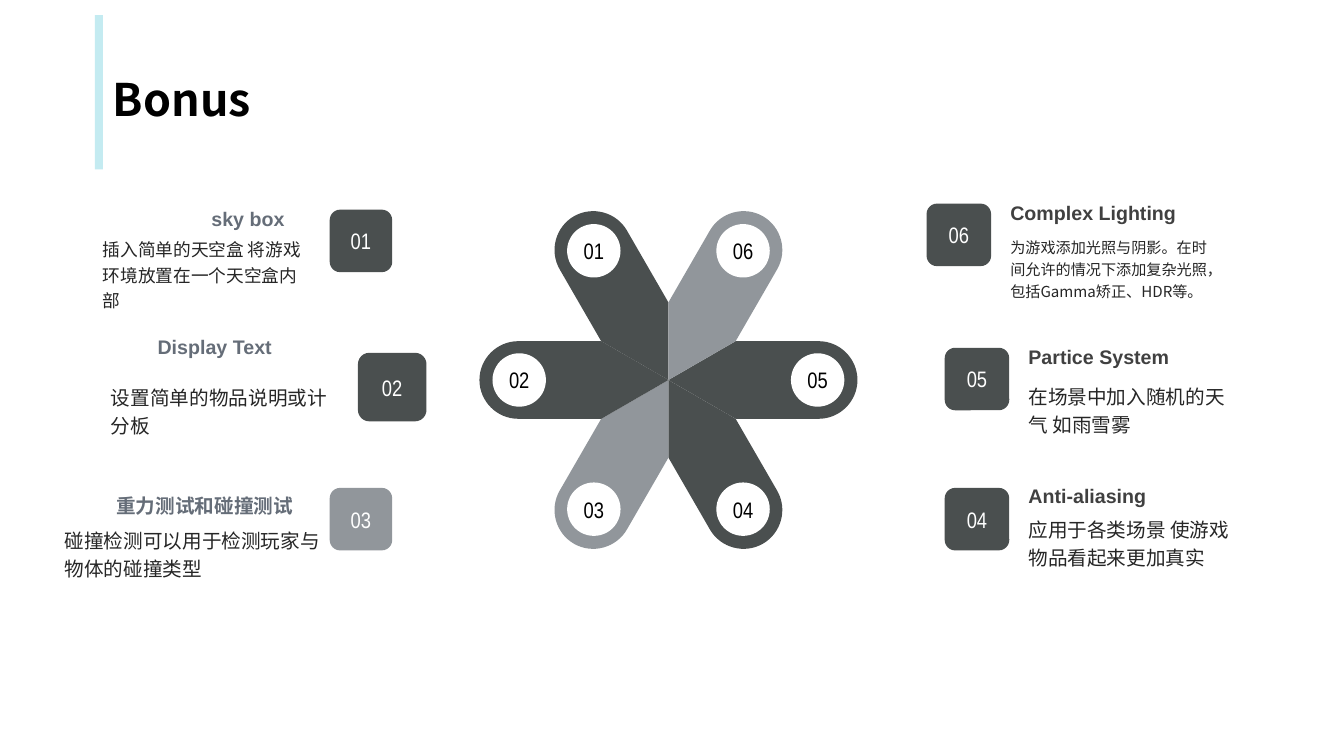
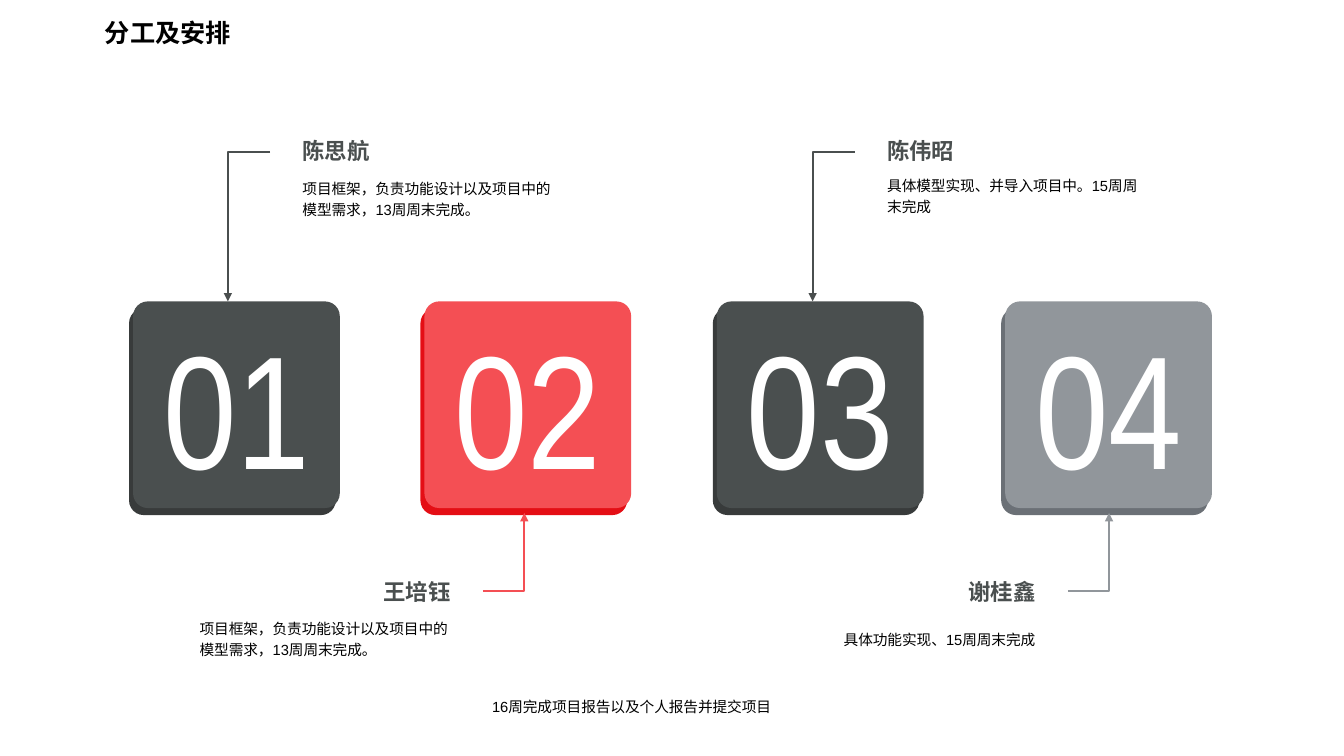
import math
from dataclasses import dataclass

import lxml.etree
import pptx
import pptx.dml.color
import pptx.enum.shapes
import pptx.enum.text
import pptx.oxml.ns
import pptx.util

Inches = pptx.util.Inches
Pt = pptx.util.Pt
Shape = pptx.enum.shapes.MSO_SHAPE
Align = pptx.enum.text.PP_ALIGN
Anchor = pptx.enum.text.MSO_ANCHOR
qn = pptx.oxml.ns.qn


@dataclass(frozen=True)
class Theme:
    slate: str = "4A4F4F"
    slate_edge: str = "383B3B"
    gray: str = "91969B"
    gray_edge: str = "6B7076"
    red: str = "F44F54"
    red_edge: str = "E40E15"
    accent: str = "C4EBF1"
    white: str = "FFFFFF"
    black: str = "000000"
    body: str = "262626"
    left_heading: str = "656D78"
    right_heading: str = "404040"
    sans: str = "Arial"
    narrow: str = "Arial Narrow"
    cjk: str = "Noto Sans CJK SC"
    title_large: float = 32
    title_small: float = 18
    name: float = 16
    number: float = 16
    heading: float = 14
    detail: float = 10.5
    tile_number: float = 115


THEME = Theme()

BONUS_ITEMS = [
    dict(number="01", color=THEME.slate, badge=(3.27, 2.08, 0.62, 0.62),
         heading="sky box", heading_box=(1.87, 2.05, 1.18, 0.24),
         body="插入简单的天空盒 将游戏环境放置在一个天空盒内部",
         body_box=(1.02, 2.33, 2.03, 0.81), size=12.6),
    dict(number="02", color=THEME.slate, badge=(3.55, 3.5, 0.68, 0.68),
         heading="Display Text", heading_box=(0.94, 2.95, 2.38, 0.98),
         body="设置简单的物品说明或计分板",
         body_box=(1.1, 3.78, 2.22, 0.89), size=14),
    dict(number="03", color=THEME.gray, badge=(3.27, 4.84, 0.62, 0.62),
         heading="重力测试和碰撞测试", heading_box=(1.02, 4.84, 2.02, 0.36),
         body="碰撞检测可以用于检测玩家与物体的碰撞类型",
         body_box=(0.64, 5.2, 2.62, 1.05), size=14),
    dict(number="04", color=THEME.slate, badge=(9.37, 4.84, 0.64, 0.62),
         heading="Anti-aliasing", heading_box=(10.2, 4.8, 1.18, 0.24),
         body="应用于各类场景 使游戏物品看起来更加真实",
         body_box=(10.2, 5.09, 2.08, 0.81), size=14),
    dict(number="05", color=THEME.slate, badge=(9.37, 3.45, 0.64, 0.62),
         heading="Partice System", heading_box=(10.2, 3.42, 1.5, 0.24),
         body="在场景中加入随机的天气 如雨雪雾",
         body_box=(10.2, 3.77, 2.08, 0.81), size=14),
    dict(number="06", color=THEME.slate, badge=(9.19, 2.02, 0.64, 0.62),
         heading="Complex Lighting", heading_box=(10.02, 1.99, 1.75, 0.24),
         body="为游戏添加光照与阴影。在时间允许的情况下添加复杂光照，包括Gamma矫正、HDR等。",
         body_box=(10.02, 2.33, 2.08, 0.81), size=10.8),
]

PETALS = [
    ("05", THEME.slate), ("04", THEME.slate), ("03", THEME.gray),
    ("02", THEME.slate), ("01", THEME.slate), ("06", THEME.gray),
]

FRAMEWORK_TASK = "项目框架，负责功能设计以及项目中的模型需求，13周周末完成。"
MEMBERS = [
    dict(number="01", name="陈思航", task=FRAMEWORK_TASK, above=True,
         tile=1.32, arrow=2.68, task_top=1.65, align=Align.LEFT,
         color=THEME.slate, edge=THEME.slate_edge),
    dict(number="02", name="王培钰", task=FRAMEWORK_TASK, above=False,
         tile=4.21, arrow=4.79, task_top=6.02, align=Align.LEFT,
         color=THEME.red, edge=THEME.red_edge),
    dict(number="03", name="陈伟昭", task="具体模型实现、并导入项目中。15周周末完成", above=True,
         tile=7.11, arrow=8.48, task_top=1.62, align=Align.LEFT,
         color=THEME.slate, edge=THEME.slate_edge),
    dict(number="04", name="谢桂鑫", task="具体功能实现、15周周末完成", above=False,
         tile=9.97, arrow=10.59, task_top=6.02, align=Align.RIGHT,
         color=THEME.gray, edge=THEME.gray_edge),
]
CLOSING = "16周完成项目报告以及个人报告并提交项目"


def rgb(color):
    return pptx.dml.color.RGBColor.from_string(color)


def inches(box):
    return [Inches(value) for value in box]


def write(shape, text, *, size, color=THEME.black, font=THEME.sans, bold=False,
          align=Align.LEFT, anchor=Anchor.MIDDLE, spacing=1.0, wrap=False,
          inset=(0, 0)):
    frame = shape.text_frame
    frame.word_wrap = wrap
    frame.vertical_anchor = anchor
    frame.margin_left = frame.margin_right = Inches(inset[0])
    frame.margin_top = frame.margin_bottom = Inches(inset[1])
    para = frame.paragraphs[0]
    para.alignment = align
    para.line_spacing = spacing
    span = para.add_run()
    span.text = text
    span.font.name = font
    span.font.size = Pt(size)
    span.font.bold = bold
    span.font.color.rgb = rgb(color)
    east_asian = lxml.etree.SubElement(span.font._element, qn("a:ea"))
    east_asian.set("typeface", THEME.cjk)


def add_text(page, box, text, **style):
    write(page.shapes.add_textbox(*inches(box)), text, **style)


def paint(shape, color):
    shape.shadow.inherit = False
    shape.fill.solid()
    shape.fill.fore_color.rgb = rgb(color)
    shape.line.fill.background()


def add_block(page, kind, box, color, radius=None):
    shape = page.shapes.add_shape(kind, *inches(box))
    paint(shape, color)
    if radius is not None:
        shape.adjustments[0] = radius
    return shape


def add_page(deck, title, box, size):
    page = deck.slides.add_slide(deck.slide_layouts[5])
    heading = page.shapes.title
    heading.left, heading.top, heading.width, heading.height = inches(box)
    write(heading, title, size=size, font=THEME.cjk, bold=True, spacing=1.3,
          anchor=Anchor.TOP, wrap=True, inset=(0.1, 0.05))
    heading.text_frame.auto_size = pptx.enum.text.MSO_AUTO_SIZE.SHAPE_TO_FIT_TEXT
    return page


def curve_segments(shape, first, count):
    lines = list(shape._element.iter(qn("a:lnTo")))[first:first + 3 * count]
    for start in range(0, len(lines), 3):
        curve = lxml.etree.Element(qn("a:cubicBezTo"))
        lines[start].addprevious(curve)
        for line in lines[start:start + 3]:
            curve.append(line[0])
            line.getparent().remove(line)


def add_petal(page, number, color, degrees):
    center_x, center_y = 6.63, 3.77
    half_width, cap_reach, disc_reach, disc = 0.77 / 2, 1.49, 1.48, 0.53
    turn = math.radians(degrees)

    def place(along, across):
        return (center_x + along * math.cos(turn) - across * math.sin(turn),
                center_y + along * math.sin(turn) + across * math.cos(turn))

    shoulder = half_width * math.sqrt(3)
    pull = half_width * 0.55
    tip = cap_reach + half_width
    outline = [
        (0, 0), (shoulder, -half_width), (cap_reach, -half_width),
        (cap_reach + pull, -half_width), (tip, -pull), (tip, 0),
        (tip, pull), (cap_reach + pull, half_width), (cap_reach, half_width),
        (shoulder, half_width),
    ]
    points = [tuple(inches(place(*point))) for point in outline]
    builder = page.shapes.build_freeform(*points[0], scale=1.0)
    builder.add_line_segments(points[1:], close=True)
    petal = builder.convert_to_shape()
    curve_segments(petal, 2, 2)
    paint(petal, color)

    disc_x, disc_y = place(disc_reach, 0)
    circle = add_block(page, Shape.OVAL,
                       (disc_x - disc / 2, disc_y - disc / 2, disc, disc), THEME.white)
    write(circle, number, size=THEME.number, font=THEME.narrow, align=Align.CENTER)


def add_bent_arrow(page, start, end, color):
    arrow = page.shapes.add_connector(pptx.enum.shapes.MSO_CONNECTOR.ELBOW,
                                      *inches(start + end))
    arrow.line.color.rgb = rgb(color)
    arrow.line.width = Pt(1.5)
    properties = arrow._element.spPr
    properties.find(qn("a:prstGeom")).set("prst", "bentConnector2")
    if end[0] < start[0]:
        transform = properties.find(qn("a:xfrm"))
        del transform.attrib["flipH"]
        transform.set("rot", "10800000")
        transform.set("flipV", "1")
    tail = lxml.etree.SubElement(properties.find(qn("a:ln")), qn("a:tailEnd"))
    tail.set("type", "triangle")
    lxml.etree.SubElement(properties, qn("a:effectLst"))


def build_bonus(deck):
    page = add_page(deck, "Bonus", (1.02, 0.5, 1.74, 0.8), THEME.title_large)
    add_block(page, Shape.RECTANGLE, (0.94, 0.15, 0.08, 1.53), THEME.accent)
    for index, (number, color) in enumerate(PETALS):
        add_petal(page, number, color, index * 360 / len(PETALS))
    for item in BONUS_ITEMS:
        on_left = item["badge"][0] < 6
        add_text(page, item["heading_box"], item["heading"], size=THEME.heading, bold=True,
                 color=THEME.left_heading if on_left else THEME.right_heading,
                 align=Align.CENTER if on_left else Align.LEFT)
        add_text(page, item["body_box"], item["body"], size=item["size"], font=THEME.cjk,
                 color=THEME.body, anchor=Anchor.TOP, spacing=1.2, wrap=True)
        badge = add_block(page, Shape.ROUNDED_RECTANGLE, item["badge"], item["color"], 0.166)
        write(badge, item["number"], size=THEME.number, font=THEME.narrow,
              color=THEME.white, align=Align.CENTER)


def build_schedule(deck):
    page = add_page(deck, "分工及安排", (0.94, 0.03, 3.56, 0.49), THEME.title_small)
    side, tile_top, text_width = 2.05, 2.99, 3.13
    shift_x, shift_y, elbow = 0.04, 0.07, 0.42
    inset = (0.32, 0)
    detail = dict(size=THEME.detail, spacing=1.2, wrap=True, inset=inset)
    for member in MEMBERS:
        tile, arrow, above = member["tile"], member["arrow"], member["above"]
        add_block(page, Shape.ROUNDED_RECTANGLE,
                  (tile - shift_x, tile_top + shift_y, side, side), member["edge"], 0.071)
        front = add_block(page, Shape.ROUNDED_RECTANGLE,
                          (tile, tile_top, side, side), member["color"], 0.071)
        write(front, member["number"], size=THEME.tile_number, font=THEME.narrow,
              color=THEME.white, align=Align.CENTER)
        if above:
            start, end = (arrow, 1.51), (arrow - elbow, tile_top)
            text_left, name_top, name_align = arrow, 1.33, Align.LEFT
        else:
            start, end = (arrow, 5.86), (arrow + elbow - 0.01, 5.09)
            text_left, name_top, name_align = arrow - text_width, 5.71, Align.RIGHT
        add_bent_arrow(page, start, end, member["color"])
        add_text(page, (text_left, name_top, text_width, 0.32), member["name"],
                 size=THEME.name, color=THEME.slate, bold=True, align=name_align,
                 inset=inset)
        add_text(page, (text_left, member["task_top"], text_width, 0.61), member["task"],
                 align=member["align"], **detail)
    add_text(page, (4.56, 6.69, 5.41, 0.61), CLOSING, **detail)


def main():
    deck = pptx.Presentation()
    deck.slide_width, deck.slide_height = Inches(13.33), Inches(7.5)
    build_bonus(deck)
    build_schedule(deck)
    deck.save("out.pptx")


if __name__ == "__main__":
    main()
